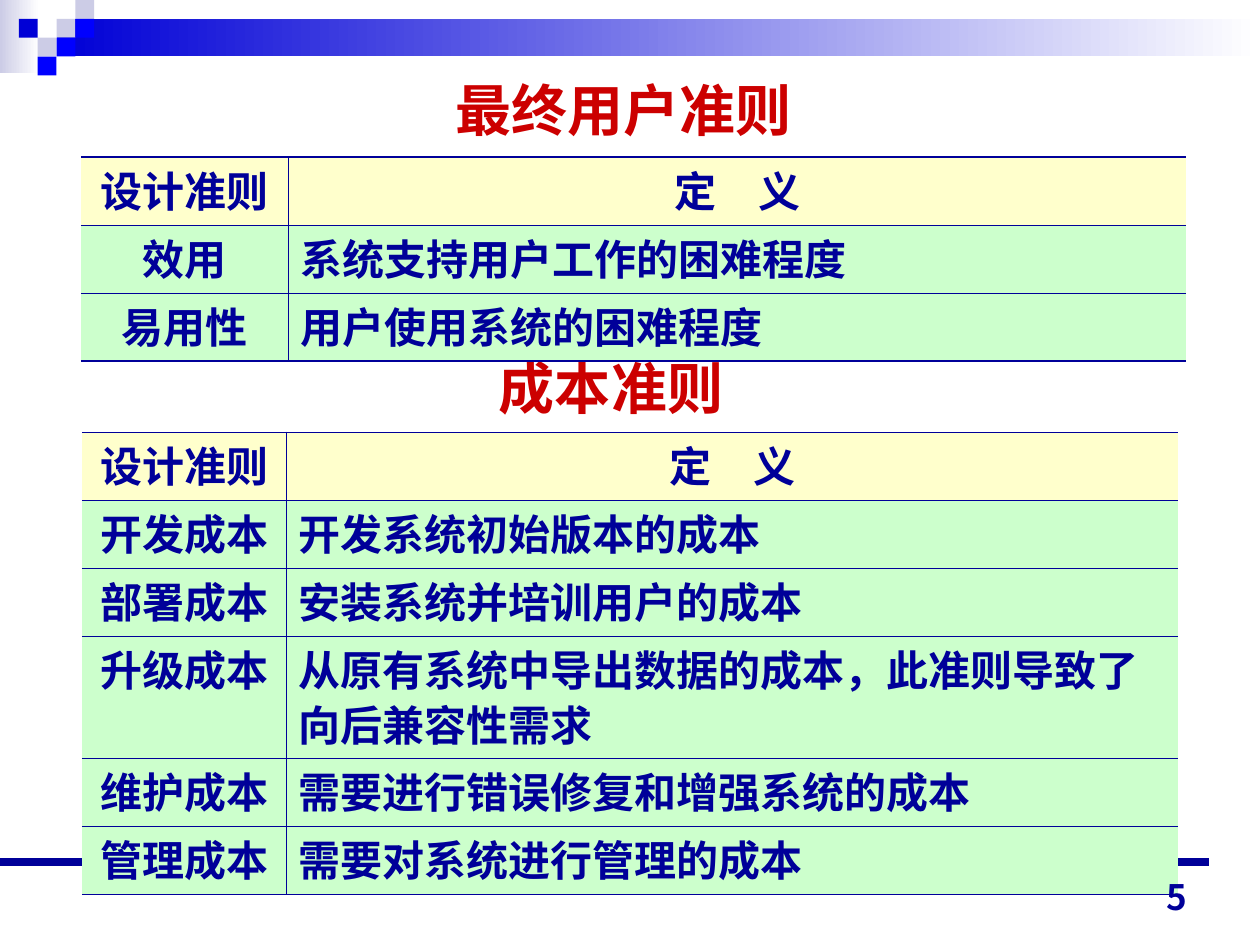
from lxml import etree
from pptx import Presentation
from pptx.dml.color import RGBColor
from pptx.enum import shapes, text
from pptx.oxml.ns import qn
from pptx.util import Cm, Pt

NAVY = RGBColor(0x00, 0x00, 0x99)
RED = RGBColor(0xCC, 0x00, 0x00)
CREAM = RGBColor(0xFF, 0xFF, 0xCC)
MINT = RGBColor(0xCC, 0xFF, 0xCC)
WHITE = RGBColor(0xFF, 0xFF, 0xFF)
LILAC = RGBColor(0xCC, 0xCC, 0xE6)
BLUE = RGBColor(0x00, 0x00, 0xFF)
DEEP_BLUE = RGBColor(0x00, 0x00, 0xD6)
CJK = "Noto Sans CJK SC"
THIN, THICK = Pt(0.45), Pt(1.08)
ROW_HEIGHT, TALL_ROW = 1.37, 2.46

# Content: lengths in cm
HEADER = ("设计准则", "定　义")
TITLES = [
    ("最终用户准则", (1.14, 1.14, 22.86, 2.11)),
    ("成本准则", (0.89, 6.6, 22.86, 2.39)),
]
TABLES = [
    dict(left=1.63, top=3.17, columns=(4.18, 18.1), tall_rows=(), font="Times New Roman",
         rows=[HEADER,
               ("效用", "系统支持用户工作的困难程度"),
               ("易用性", "用户使用系统的困难程度")]),
    dict(left=1.65, top=8.72, columns=(4.12, 17.98), tall_rows=(3,), font="Times New Roman",
         rows=[HEADER,
               ("开发成本", "开发系统初始版本的成本"),
               ("部署成本", "安装系统并培训用户的成本"),
               ("升级成本", "从原有系统中导出数据的成本，此准则导致了向后兼容性需求"),
               ("维护成本", "需要进行错误修复和增强系统的成本"),
               ("管理成本", "需要对系统进行管理的成本")]),
]
BANDS = [((0, 0, 0.79, 1.47), LILAC), ((1.14, 0.38, 24.26, 0.76), DEEP_BLUE)]
TILE = 0.38
TILES = [  # column, row, colour
    (3, 1, LILAC), (4, 0, LILAC), (4, 1, BLUE), (2, 2, LILAC),
    (1, 1, DEEP_BLUE), (3, 2, BLUE), (2, 3, BLUE),
]


def style_font(para, size, color, name):
    font = para.font
    font.size, font.bold, font.name = Pt(size), True, name
    font.color.rgb = color
    props = para._p.get_or_add_pPr().find(qn("a:defRPr"))
    etree.SubElement(props, qn("a:ea")).set("typeface", CJK)


def add_block(page, place):
    block = page.shapes.add_shape(shapes.MSO_SHAPE.RECTANGLE, *map(Cm, place))
    block.shadow.inherit = False
    block.line.fill.background()
    return block


def add_label(page, words, place, size, color, name, align, anchor):
    box = page.shapes.add_textbox(*map(Cm, place))
    frame = box.text_frame
    frame.word_wrap = True
    frame.vertical_anchor = anchor
    para = frame.paragraphs[0]
    para.text, para.alignment = words, align
    style_font(para, size, color, name)


def set_borders(cell, **widths):
    """Draw each named side (L, R, T, B); a width of None hides it."""
    props = cell._tc.get_or_add_tcPr()
    for side, width in widths.items():
        line = etree.SubElement(props, qn("a:ln" + side))
        if width is None:
            etree.SubElement(line, qn("a:noFill"))
        else:
            line.set("w", str(int(width)))
            fill = etree.SubElement(line, qn("a:solidFill"))
            etree.SubElement(fill, qn("a:srgbClr")).set("val", str(NAVY))


def add_criteria_table(page, left, top, columns, tall_rows, font, rows):
    heights = [TALL_ROW if i in tall_rows else ROW_HEIGHT for i in range(len(rows))]
    table = page.shapes.add_table(len(rows), len(columns), Cm(left), Cm(top),
                                  Cm(sum(columns)), Cm(sum(heights))).table
    for column, width in zip(table.columns, columns):
        column.width = Cm(width)
    last = len(rows) - 1
    for r, words in enumerate(rows):
        table.rows[r].height = Cm(heights[r])
        for c, value in enumerate(words):
            cell = table.cell(r, c)
            set_borders(cell, L=THIN if c else None, R=None if c else THIN,
                        T=THIN if r else THICK, B=THICK if r == last else THIN)
            cell.fill.solid()
            cell.fill.fore_color.rgb = MINT if r else CREAM
            para = cell.text_frame.paragraphs[0]
            para.text = value
            para.line_spacing = 0.9
            centred = r == 0 or c == 0
            para.alignment = text.PP_ALIGN.CENTER if centred else text.PP_ALIGN.LEFT
            style_font(para, 24, NAVY, font)


deck = Presentation()
deck.slide_width, deck.slide_height = Cm(25.4), Cm(19.05)
page = deck.slides.add_slide(deck.slide_layouts[6])

# Header bands fading to white, and mosaic tiles
for place, color in BANDS:
    fill = add_block(page, place).fill
    fill.gradient()
    fill.gradient_angle = 180
    for stop, shade, position in zip(fill.gradient_stops, (WHITE, color), (0, 1)):
        stop.color.rgb, stop.position = shade, position
for column, row, color in TILES:
    tile = add_block(page, (column * TILE, row * TILE, TILE, TILE))
    tile.fill.solid()
    tile.fill.fore_color.rgb = color

# Footer rule
rule = page.shapes.add_connector(shapes.MSO_CONNECTOR.STRAIGHT,
                                 Cm(0), Cm(17.37), Cm(24.38), Cm(17.37))
rule.line.color.rgb, rule.line.width = NAVY, Pt(4.5)
etree.SubElement(rule._element.spPr, qn("a:effectLst"))

# Titles, tables and page number
for words, place in TITLES:
    add_label(page, words, place, 32, RED, "Arial",
              text.PP_ALIGN.CENTER, text.MSO_ANCHOR.MIDDLE)
for criteria in TABLES:
    add_criteria_table(page, **criteria)
add_label(page, "5", (18.26, 17.35, 5.92, 1.27), 20, NAVY, "Noto Sans CJK JP",
          text.PP_ALIGN.RIGHT, text.MSO_ANCHOR.BOTTOM)

deck.save("out.pptx")
